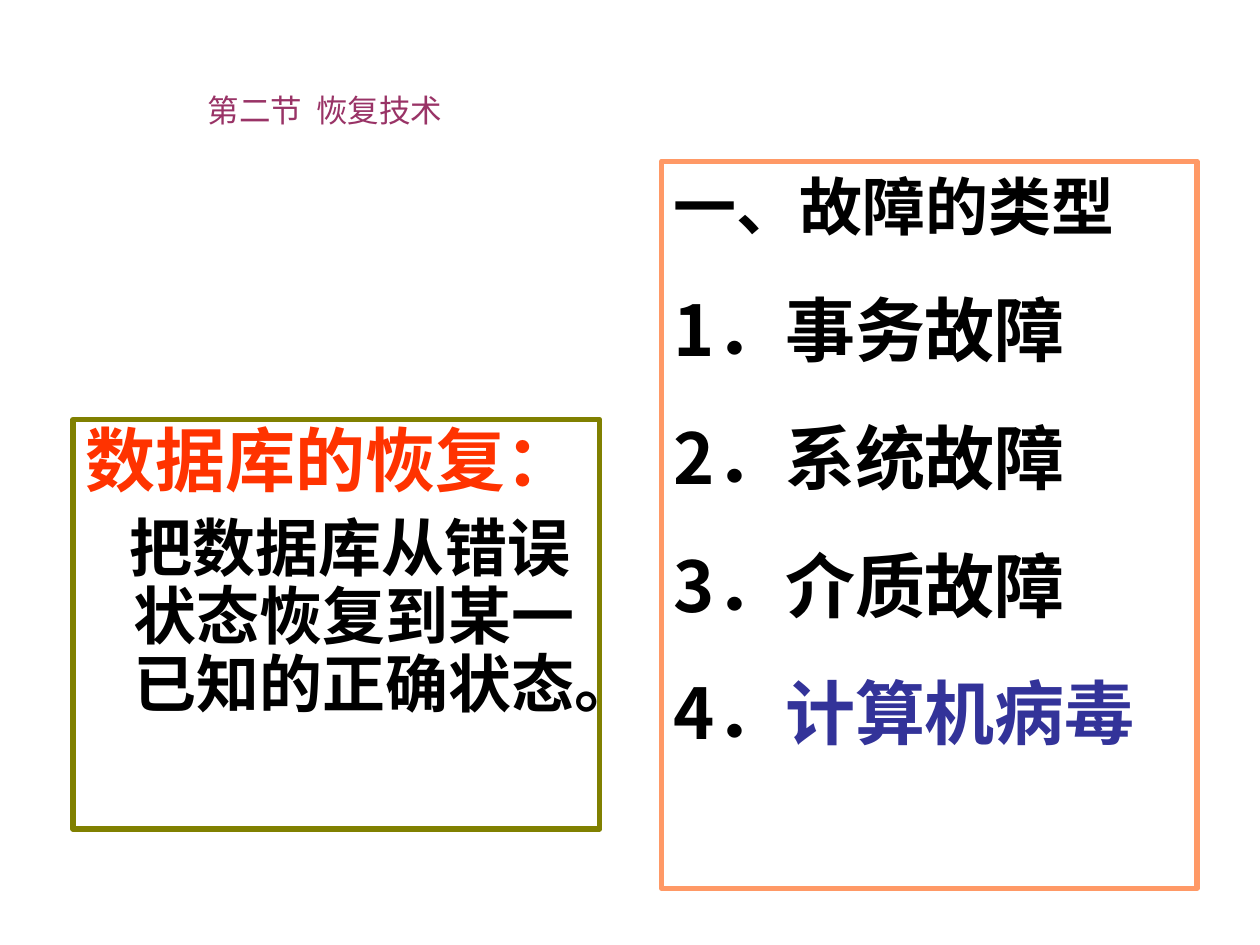
import pptx
import pptx.util
import pptx.dml.color
import pptx.enum.shapes
import pptx.enum.text
import pptx.oxml
import pptx.oxml.ns

Inches = pptx.util.Inches
Pt = pptx.util.Pt
HEX = pptx.dml.color.RGBColor.from_string
COLORS = {"white": "FFFFFF", "black": "000000", "olive": "808000",
          "orange": "FF9966", "red": "FF3300", "blue": "333399",
          "plum": "993366"}
SANS = "Noto Sans CJK SC"


def write(text, para, size=40, color="black", bold=True, latin=SANS, asian=SANS):
    run = para.add_run()
    run.text = text
    font = run.font
    font.size, font.bold, font.name = Pt(size), bold, latin
    font.color.rgb = HEX(COLORS[color])
    mark = pptx.oxml.ns.qn("a:ea")
    font._element.find(pptx.oxml.ns.qn("a:latin")).addnext(
        font._element.makeelement(mark, {"typeface": asian}))


def frame(slide, area, line):
    box = slide.shapes.add_shape(pptx.enum.shapes.MSO_SHAPE.RECTANGLE,
                                 *[Inches(n) for n in area])
    box.shadow.inherit = False
    box.fill.solid()
    box.fill.fore_color.rgb = HEX(COLORS["white"])
    box.line.color.rgb = HEX(COLORS[line])
    box.line.width = Pt(3)
    body = box.text_frame
    body.word_wrap = True
    body.vertical_anchor = pptx.enum.text.MSO_ANCHOR.TOP
    body.paragraphs[0].alignment = pptx.enum.text.PP_ALIGN.LEFT
    return body


deck = pptx.Presentation()
deck.slide_width, deck.slide_height = Inches(10), Inches(7.5)
slide = deck.slides.add_slide(deck.slide_layouts[6])

# Recovery definition
body = frame(slide, (0.58, 3.33, 4.18, 3.25), "olive")
head = body.paragraphs[0]
head.line_spacing = 0.9
write("数据库的恢复：", head, color="red", latin="Arial")
para = body.add_paragraph()
para.alignment = pptx.enum.text.PP_ALIGN.LEFT
para.line_spacing = 0.9
para.space_before = Pt(9)
props = para._p.get_or_add_pPr()
props.set("marL", str(Inches(0.38)))
props.set("indent", str(Inches(-0.03)))
write("把数据库从错误状态恢复到某一已知的正确状态。", para, size=36, latin="Arial")

# Failure types
body = frame(slide, (5.25, 1.28, 4.25, 5.77), "orange")
write("一、故障的类型", body.paragraphs[0], size=36, latin="Times New Roman")
kinds = [("事务故障", "black"), ("系统故障", "black"),
         ("介质故障", "black"), ("计算机病毒", "blue")]
for num, (kind, color) in enumerate(kinds, 1):
    para = body.add_paragraph()
    para.alignment = pptx.enum.text.PP_ALIGN.LEFT
    para.space_before = Pt(25)
    write(f"{num}．", para)
    write(kind, para, color=color)

# Section title
title = slide.shapes.add_textbox(Inches(0.58), Inches(0.67), Inches(4), Inches(2))
title.text_frame.word_wrap = True
para = title.text_frame.paragraphs[0]
para.alignment = pptx.enum.text.PP_ALIGN.CENTER
write("第二节  恢复技术", para, size=18, color="plum", bold=False,
      latin="Noto Sans CJK JP", asian="Noto Sans CJK JP")

deck.save("out.pptx")
